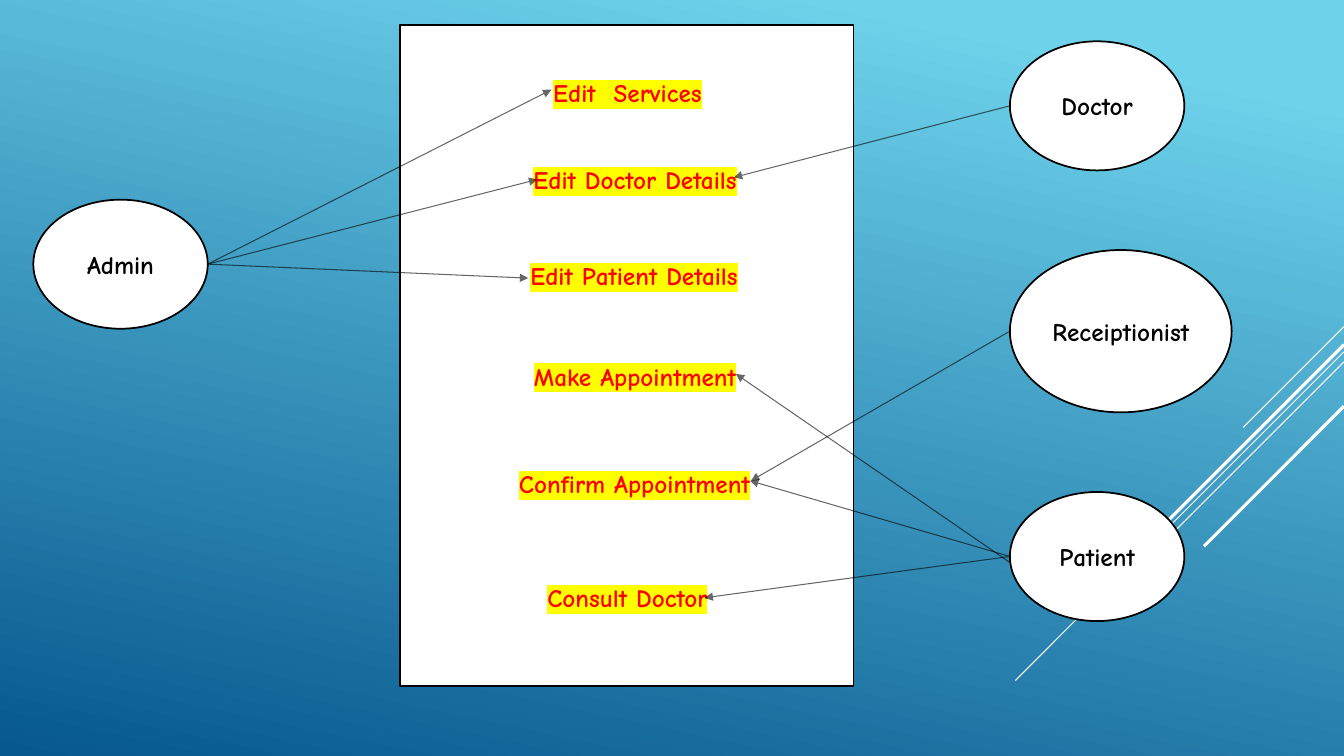
from dataclasses import dataclass

from lxml import etree
from pptx import Presentation
from pptx.dml.color import RGBColor
from pptx.enum.shapes import MSO_CONNECTOR, MSO_SHAPE
from pptx.enum.text import MSO_ANCHOR, PP_ALIGN
from pptx.oxml.ns import qn
from pptx.util import Pt

LINE = MSO_CONNECTOR.STRAIGHT
RECT, OVAL = MSO_SHAPE.RECTANGLE, MSO_SHAPE.OVAL
MIDDLE, CENTER = MSO_ANCHOR.MIDDLE, PP_ALIGN.CENTER


@dataclass(frozen=True)
class Theme:
    """Colours, font and sizes of the slide."""
    sky: str = "6ED2EB"
    sea: str = "06588E"
    paper: str = "FFFFFF"
    ink: str = "000000"
    alert: str = "FF0000"
    mark: str = "FFFF00"
    font: str = "Comic Neue"
    size: float = 18
    edge: float = 1.25
    thin: float = 0.75
    thick: float = 2.25
    alpha: int = 60


THEME = Theme()
WIDTH, HEIGHT = 960, 540
SYSTEM = (285.8, 18, 324, 472.3)
RAYS = [
    (233.3, 72, THEME.thin),
    (251.3, 234.7, THEME.thin),
    (258.5, 149, THEME.thin),
    (246.2, 137.5, THEME.thick),
    (290.2, 100, THEME.thick),
]
CASES = [
    ("Edit  Services", 162.4, 33.8, 202.3),
    ("Edit Doctor Details", 167.8, 95.8, 168.5),
    ("Edit Patient Details", 167.1, 164.2, 165.6),
    ("Make Appointment", 167.8, 236.2, 165.6),
    ("Confirm Appointment", 167.4, 313.2, 192.2),
    ("Consult Doctor", 162.4, 394.6, 192.2),
]
ACTORS = [
    ("Admin", (23.8, 142.6, 124.6, 92.2), 1,
     [(393.8, 64.1, 0), (383.8, 128.2, 0), (377.3, 198.7, 0)]),
    ("Doctor", (721.4, 29.5, 124.6, 92.2), 0, [(524.2, 126.7, 0)]),
    ("Receiptionist", (721.4, 178.6, 158.4, 115.9), 0, [(536.4, 343.4, 0)]),
    ("Patient", (721.4, 351.4, 124.6, 92.2), 0,
     [(525.6, 267.1, 4.3), (535.7, 343.4, 0), (503.3, 427, 0)]),
]


def rgb(code):
    """Turn a hex code into a colour."""
    return RGBColor.from_string(code)


def points(*values):
    """Turn numbers into lengths in points."""
    return [Pt(value) for value in values]


def draw_line(slide, start, end, color, width):
    """Draw a plain straight line and return it."""
    line = slide.shapes.add_connector(LINE, *points(*start, *end))
    line.line.color.rgb = rgb(color)
    line.line.width = Pt(width)
    etree.SubElement(line._element.spPr, qn("a:effectLst"))
    return line


def draw_arrow(slide, start, end):
    """Draw a translucent line with a head at its end."""
    line = draw_line(slide, start, end, THEME.ink, THEME.thin).line
    pen = line._get_or_add_ln()
    tint = pen.find(".//" + qn("a:srgbClr"))
    etree.SubElement(tint, qn("a:alpha"), val=str(THEME.alpha * 1000))
    etree.SubElement(pen, qn("a:tailEnd"), type="triangle")


def draw_shape(slide, kind, box):
    """Draw a white shape with a black edge."""
    shape = slide.shapes.add_shape(kind, *points(*box))
    shape.shadow.inherit = False
    shape.fill.solid()
    shape.fill.fore_color.rgb = rgb(THEME.paper)
    shape.line.color.rgb = rgb(THEME.ink)
    shape.line.width = Pt(THEME.edge)
    return shape


def write(shape, text, color):
    """Write centred bold text and return its run."""
    frame = shape.text_frame
    frame.word_wrap = True
    frame.vertical_anchor = MIDDLE
    frame.margin_left = frame.margin_right = 0
    para = frame.paragraphs[0]
    para.alignment = CENTER
    para.font.name = THEME.font
    para.font.size = Pt(THEME.size)
    para.font.bold = True
    para.font.color.rgb = rgb(color)
    run = para.add_run()
    run.text = text
    return run


def draw_back(slide, box):
    """Fill the background and draw rays from the right edge of the box."""
    fill = slide.background.fill
    fill.gradient()
    fill.gradient_angle = 360 - 102
    stops = [(0.1, THEME.sky), (1, THEME.sea)]
    for stop, (place, color) in zip(fill.gradient_stops, stops):
        stop.position = place
        stop.color.rgb = rgb(color)
    left, top, width, _ = box
    right = left + width
    for drop, reach, weight in RAYS:
        start = (right, top + drop)
        end = (right - reach, top + drop + reach)
        draw_line(slide, start, end, THEME.paper, weight)


def draw_system(slide, box):
    """Draw the system frame with its marked use cases."""
    draw_shape(slide, RECT, box)
    left, top, _, _ = box
    for text, mid, drop, width in CASES:
        place = points(left + mid - width / 2, top + drop, width, 28.8)
        run = write(slide.shapes.add_textbox(*place), text, THEME.alert)
        mark = etree.SubElement(run._r.get_or_add_rPr(), qn("a:highlight"))
        etree.SubElement(mark, qn("a:srgbClr"), val=THEME.mark)


def draw_actor(slide, box, name, side, goals):
    """Draw an actor and arrows from its left (0) or right (1) side."""
    write(draw_shape(slide, OVAL, box), name, THEME.ink)
    left, top, width, height = box
    for goal_x, goal_y, drop in goals:
        start = (left + side * width, top + height / 2 + drop)
        draw_arrow(slide, start, (goal_x, goal_y))


def main():
    """Build the use case slide and save it."""
    deck = Presentation()
    deck.slide_width, deck.slide_height = points(WIDTH, HEIGHT)
    slide = deck.slides.add_slide(deck.slide_layouts[6])
    draw_back(slide, (0, 0, WIDTH, HEIGHT))
    draw_system(slide, SYSTEM)
    for name, box, side, goals in ACTORS:
        draw_actor(slide, box, name, side, goals)
    deck.save("out.pptx")


main()
